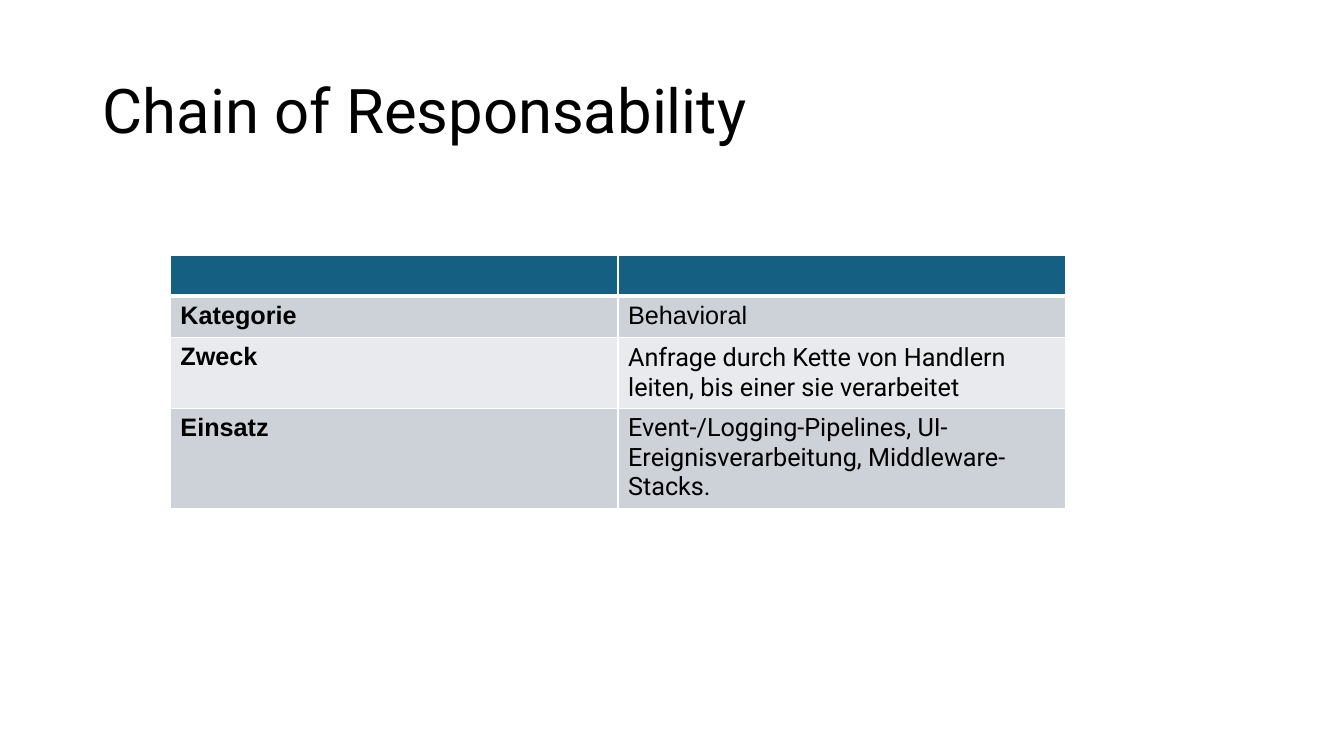
from lxml.etree import SubElement
from pptx import Presentation
from pptx.dml.color import RGBColor
from pptx.enum.text import MSO_ANCHOR as Anchor
from pptx.oxml.ns import qn
from pptx.util import Inches, Pt

BLACK = RGBColor(0x00, 0x00, 0x00)
WHITE = RGBColor(0xFF, 0xFF, 0xFF)
HEADER = RGBColor(0x15, 0x60, 0x82)
BAND_DARK = RGBColor(0xCC, 0xD2, 0xD8)
BAND_LIGHT = RGBColor(0xE8, 0xEA, 0xED)

ROW_HEIGHTS = [0.41, 0.41, 0.69, 0.98]
FACTS = [
    ("Kategorie", "Behavioral", "Arial", Anchor.TOP),
    ("Zweck", "Anfrage durch Kette von Handlern leiten, bis einer sie verarbeitet",
     "Roboto", Anchor.MIDDLE),
    ("Einsatz", "Event-/Logging-Pipelines, UI-Ereignisverarbeitung, Middleware-Stacks.",
     "Roboto", Anchor.TOP),
]


def add_run(para, text, font, size, bold=False):
    span = para.add_run()
    span.text = text
    span.font.name = font
    span.font.size = Pt(size)
    span.font.bold = bold
    span.font.color.rgb = BLACK


def add_title(page, text):
    box = page.shapes.add_textbox(Inches(0.92), Inches(0.4), Inches(11.5), Inches(1.45))
    frame = box.text_frame
    frame.word_wrap = True
    frame.vertical_anchor = Anchor.MIDDLE
    para = frame.paragraphs[0]
    para.line_spacing = 0.9
    add_run(para, text, "Roboto", 44)


def style_cell(cell, color, top=1, bottom=1):
    properties = cell._tc.get_or_add_tcPr()
    for side, width in (("L", 1), ("R", 1), ("T", top), ("B", bottom)):
        line = SubElement(properties, qn(f"a:ln{side}"), w=str(Pt(width)))
        fill = SubElement(line, qn("a:solidFill"))
        SubElement(fill, qn("a:srgbClr"), val=str(WHITE))
    cell.fill.solid()
    cell.fill.fore_color.rgb = color


def add_fact_table(page):
    frame = page.shapes.add_table(len(ROW_HEIGHTS), 2, Inches(1.69), Inches(2.53),
                                  Inches(8.88), Inches(sum(ROW_HEIGHTS)))
    table = frame.table
    for row, height in zip(table.rows, ROW_HEIGHTS):
        row.height = Inches(height)
    for cell in table.rows[0].cells:
        style_cell(cell, HEADER, bottom=3)
    for index, (label, value, font, anchor) in enumerate(FACTS, 1):
        label_cell, value_cell = table.rows[index].cells
        for cell in (label_cell, value_cell):
            style_cell(cell, BAND_DARK if index % 2 else BAND_LIGHT,
                       top=3 if index == 1 else 1)
        add_run(label_cell.text_frame.paragraphs[0], label, "Arial", 18, bold=True)
        add_run(value_cell.text_frame.paragraphs[0], value, font, 18)
        value_cell.vertical_anchor = anchor


def main():
    deck = Presentation()
    deck.slide_width = Inches(13.33)
    deck.slide_height = Inches(7.5)
    page = deck.slides.add_slide(deck.slide_layouts[6])
    add_title(page, "Chain of Responsability")
    add_fact_table(page)
    deck.save("out.pptx")


if __name__ == "__main__":
    main()
